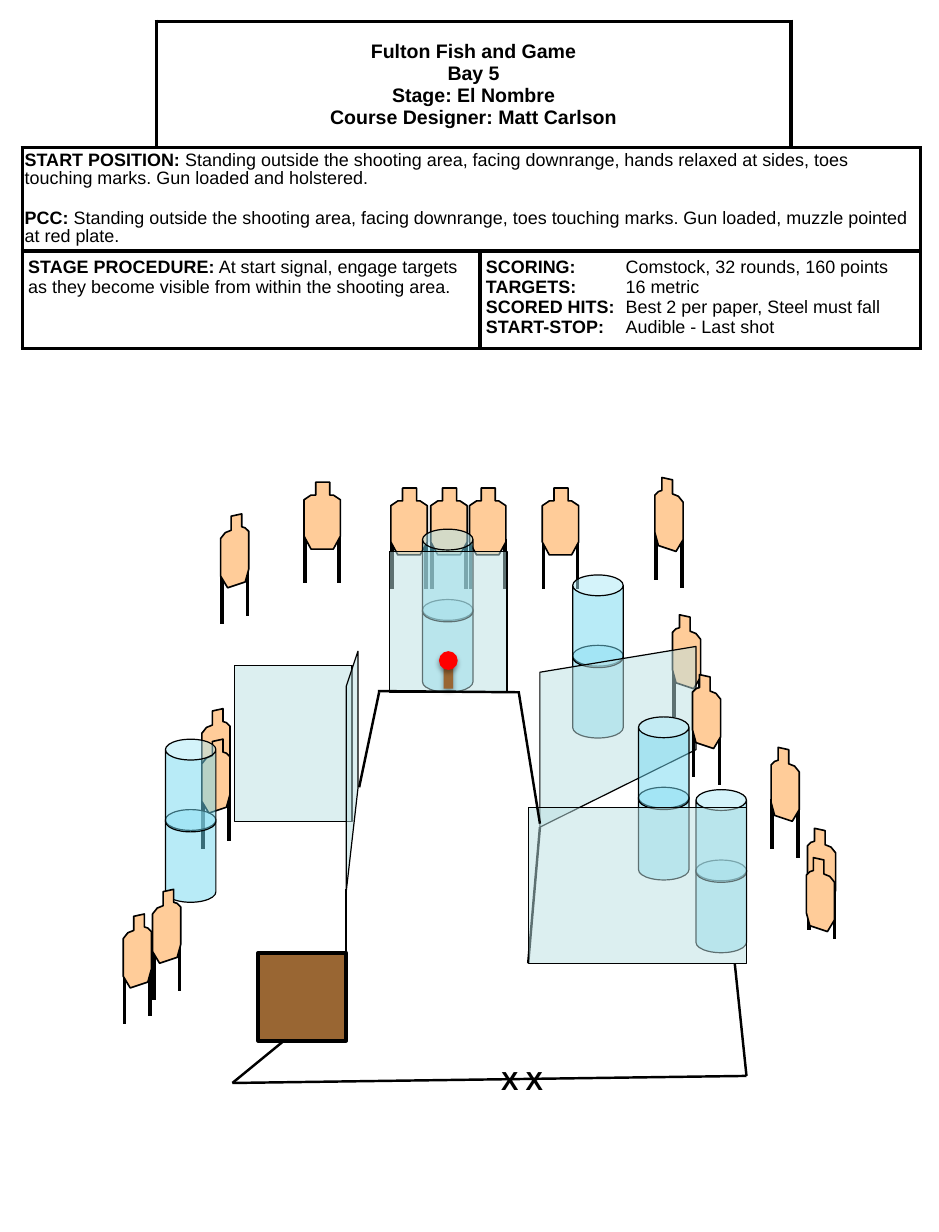
"""Build the one-page course sheet: stage briefing table above a drawing of the shooting bay."""
import pptx
import pptx.util
import pptx.dml.color
import pptx.enum.shapes
import pptx.enum.text
import pptx.oxml
import pptx.oxml.ns
from lxml import etree

Cm, Pt, qn = pptx.util.Cm, pptx.util.Pt, pptx.oxml.ns.qn
RGB = pptx.dml.color.RGBColor.from_string
MSO = pptx.enum.shapes.MSO_SHAPE
COLORS = {"ink": "000000", "paper": "FFFFFF", "target": "FFCC99", "barrel": "73D9F1",
          "wall": "BBE0E3", "wood": "996633", "plate": "FF0000"}
INCH = 2.54


def style(sp, fill, width, alpha=None):
    sp.shadow.inherit = False
    sp.fill.solid()
    sp.fill.fore_color.rgb = RGB(COLORS[fill])
    if alpha:
        clr = sp._element.spPr.find(qn("a:solidFill")).find(qn("a:srgbClr"))
        etree.SubElement(clr, qn("a:alpha")).set("val", str(alpha * 1000))
    if width:
        sp.line.color.rgb = RGB(COLORS["ink"])
        sp.line.width = Pt(width)
    else:
        sp.line.fill.background()


def line(shapes, ends, width):
    cn = shapes.add_connector(pptx.enum.shapes.MSO_CONNECTOR.STRAIGHT, *ends)
    cn.line.color.rgb = RGB(COLORS["ink"])
    cn.line.width = Pt(width)
    etree.SubElement(cn._element.spPr, qn("a:effectLst"))


prs = pptx.Presentation()
prs.slide_width, prs.slide_height = Cm(8 * INCH), Cm(10.5 * INCH)
s = prs.slides.add_slide(prs.slide_layouts[6])

cols, rows = [1.14, 2.76, 2.65, 1.1], [1.08, 0.88, 0.83]
frame = [Cm(n * INCH) for n in (0.19, 0.18, sum(cols), sum(rows))]
tbl = s.shapes.add_table(len(rows), len(cols), *frame).table
tbl.first_row = tbl.horz_banding = False
for col, width in zip(tbl.columns, cols):
    col.width = Cm(width * INCH)
for row, height in zip(tbl.rows, rows):
    row.height = Cm(height * INCH)
for first, last in [((0, 1), (0, 2)), ((1, 0), (1, 3)), ((2, 0), (2, 1)), ((2, 2), (2, 3))]:
    tbl.cell(*first).merge(tbl.cell(*last))

hidden = {(0, 0): "LT", (0, 3): "RT"}
for i in range(len(rows)):
    for j in range(len(cols)):
        cell = tbl.cell(i, j)
        tcPr = cell._tc.get_or_add_tcPr()
        for side in "LRTB":
            paint = "<a:noFill/>"
            if side not in hidden.get((i, j), ""):
                paint = f'<a:solidFill><a:srgbClr val="{COLORS["ink"]}"/></a:solidFill>'
            tcPr.append(pptx.oxml.parse_xml(
                f'<a:ln{side} {pptx.oxml.ns.nsdecls("a")} w="{Pt(2.25)}">{paint}</a:ln{side}>'))
        cell.fill.solid()
        cell.fill.fore_color.rgb = RGB(COLORS["paper"])

texts = [
    (0, 1, 12, 0.05, 0.05, [
        ("Fulton Fish and Game\vBay 5\vStage: El Nombre\vCourse Designer: Matt Carlson", "")]),
    (1, 0, 11, 0.02, 0.04, [
        ("START POSITION:", " Standing outside the shooting area, facing downrange, hands relaxed "
         "at sides, toes touching marks. Gun loaded and holstered."),
        ("PCC:", " Standing outside the shooting area, facing downrange, toes touching marks. "
         "Gun loaded, muzzle pointed at red plate.")]),
    (2, 0, 11, 0.05, 0.05, [
        ("STAGE PROCEDURE:", " At start signal, engage targets as they become visible from "
         "within the shooting area.")]),
    (2, 2, 11, 0.05, 0.05, [
        ("SCORING:", "\tComstock, 32 rounds, 160 points"),
        ("TARGETS:", "\t16 metric"),
        ("SCORED HITS:", "\tBest 2 per paper, Steel must fall"),
        ("START-STOP:", "\tAudible - Last shot")]),
]
for i, j, size, side, top, paragraphs in texts:
    cell = tbl.cell(i, j)
    cell.margin_left = cell.margin_right = Cm(side * INCH)
    cell.margin_top = cell.margin_bottom = Cm(top * INCH)
    tf = cell.text_frame
    for n, (label, body) in enumerate(paragraphs):
        p = tf.paragraphs[0] if n == 0 else tf.add_paragraph()
        if body.startswith("\t"):
            tabs = etree.SubElement(p._p.get_or_add_pPr(), qn("a:tabLst"))
            etree.SubElement(tabs, qn("a:tab"), pos=str(Cm(1.19 * INCH)), algn="l")
        if i == 0:
            p.alignment = pptx.enum.text.PP_ALIGN.CENTER
            cell.vertical_anchor = pptx.enum.text.MSO_ANCHOR.MIDDLE
        if i == 1:
            p.line_spacing = 0.9
            p.space_before = Pt(13.5 * n)
        for bold, text in ((True, label), (False, body)):
            for k, part in enumerate(text.split("\v") if text else []):
                if k:
                    p.add_line_break()
                r = p.add_run()
                r.text = part
                r.font.name, r.font.size, r.font.bold = "Arial", Pt(size), bold
                r.font.color.rgb = RGB(COLORS["ink"])

tb = s.shapes.add_textbox(*[Cm(n * INCH) for n in (4.17, 9.02, 0.58, 0.37)])
tb.text_frame.word_wrap = False
r = tb.text_frame.paragraphs[0].add_run()
r.text = "X X"
r.font.name, r.font.size, r.font.bold = "Arial", Pt(16), True
r.font.color.rgb = RGB(COLORS["ink"])

FRONT = [(0.1, 0), (0.22, 0), (0.22, 0.11), (0.25, 0.11), (0.31, 0.15), (0.31, 0.46),
         (0.25, 0.57), (0.06, 0.57), (0, 0.46), (0, 0.15), (0.06, 0.11), (0.1, 0.11)]
LEFT = [(0.09, 0.02), (0.18, 0), (0.18, 0.11), (0.21, 0.12), (0.24, 0.15), (0.24, 0.47),
        (0.21, 0.58), (0.06, 0.63), (0, 0.53), (0, 0.21), (0.04, 0.16), (0.09, 0.14)]
LEFT_LEGS = [(0.01, 0.51), (0.23, 0.44)]
RIGHT = [(0.24 - x, y) for x, y in LEFT]
RIGHT_LEGS = [(0.24 - x, y) for x, y in LEFT_LEGS]
TARGETS = {"front": (FRONT, [(0.01, 0.43), (0.3, 0.43)]), "left": (LEFT, LEFT_LEGS),
           "right": (RIGHT, RIGHT_LEGS), "left body": (LEFT, []), "right body": (RIGHT, [])}

scene = [
    ("front", 4.62, 4.16), ("front", 3.67, 4.16), ("front", 4, 4.16), ("front", 3.33, 4.16),
    ("barrels", 3.6, 4.51), ("barrels", 4.88, 4.9), ("right", 5.73, 5.24),
    ("line", 4.6, 7.05, 4.5, 8.21),
    ("panel", 5.93, 6.39, 4.6, 7.05, 4.6, 5.73, 5.93, 5.51),
    ("right", 5.9, 5.75), ("barrels", 5.44, 6.11), ("barrels", 5.93, 6.73),
    ("left body", 1.72, 6.04), ("left", 1.72, 6.3), ("box", 2.2, 8.12, 0.75, 0.75),
    ("line", 1.98, 9.23, 2.42, 8.87), ("barrels", 1.41, 6.3), ("left", 1.88, 4.38),
    ("line", 6.36, 9.17, 1.98, 9.23), ("line", 2.95, 7.58, 2.95, 8.12),
    ("wall", 2, 5.67, 1, 1.33),
    ("panel", 3.05, 6.72, 2.95, 7.6, 2.95, 5.85, 3.05, 5.55),
    ("wall", 4.5, 6.88, 1.86, 1.33), ("right", 6.88, 7.06), ("right", 6.57, 6.37),
    ("wall", 3.32, 4.7, 1, 1.2), ("line", 6.26, 8.21, 6.36, 9.17), ("right", 5.58, 4.07),
    ("line", 3.23, 5.9, 3.06, 6.71), ("line", 4.42, 5.9, 4.6, 7.02),
    ("line", 3.22, 5.89, 4.43, 5.9), ("left", 1.05, 7.79), ("left", 1.3, 7.58),
    ("right body", 6.87, 7.31), ("front", 2.59, 4.11),
    ("post", 3.78, 5.65, 0.08, 0.22), ("plate", 3.74, 5.55, 0.16, 0.16),
]
RECTS = {"box": (MSO.RECTANGLE, "wood", 2.25), "wall": (MSO.RECTANGLE, "wall", 0.75, 50),
         "post": (MSO.RECTANGLE, "wood", 0), "plate": (MSO.OVAL, "plate", 0)}
for kind, *numbers in scene:
    at = [Cm(n * INCH) for n in numbers]
    if kind == "line":
        line(s.shapes, at, 1.5)
    elif kind == "panel":
        points = list(zip(at[::2], at[1::2]))
        fb = s.shapes.build_freeform(*points[0])
        fb.add_line_segments(points[1:])
        style(fb.convert_to_shape(), "wall", 0.75, 50)
    elif kind == "barrels":
        group = s.shapes.add_group_shape()
        for drop in (0.6, 0):
            sp = group.shapes.add_shape(MSO.CAN, at[0], at[1] + Cm(drop * INCH),
                                        Cm(0.43 * INCH), Cm(0.79 * INCH))
            sp.adjustments[0] = 0.413
            style(sp, "barrel", 0.75, 50)
    elif kind in TARGETS:
        outline, legs = TARGETS[kind]
        group = s.shapes.add_group_shape()
        for x, y in legs:
            leg_x, leg_y = at[0] + Cm(x * INCH), at[1] + Cm(y * INCH)
            line(group.shapes, (leg_x, leg_y, leg_x, leg_y + Cm(0.43 * INCH)), 2.25)
        points = [(at[0] + Cm(x * INCH), at[1] + Cm(y * INCH)) for x, y in outline]
        fb = group.shapes.build_freeform(*points[0])
        fb.add_line_segments(points[1:])
        style(fb.convert_to_shape(), "target", 1)
    else:
        shape, *look = RECTS[kind]
        sp = s.shapes.add_shape(shape, *at)
        style(sp, *look)
        if kind in ("post", "plate"):
            sp._element.spPr.find(qn("a:effectLst")).append(pptx.oxml.parse_xml(
                f'<a:outerShdw {pptx.oxml.ns.nsdecls("a")} blurRad="{Pt(3.1)}" dist="{Pt(1.8)}" '
                f'dir="5400000" rotWithShape="0"><a:srgbClr val="{COLORS["ink"]}">'
                '<a:alpha val="35000"/></a:srgbClr></a:outerShdw>'))

prs.save("out.pptx")
